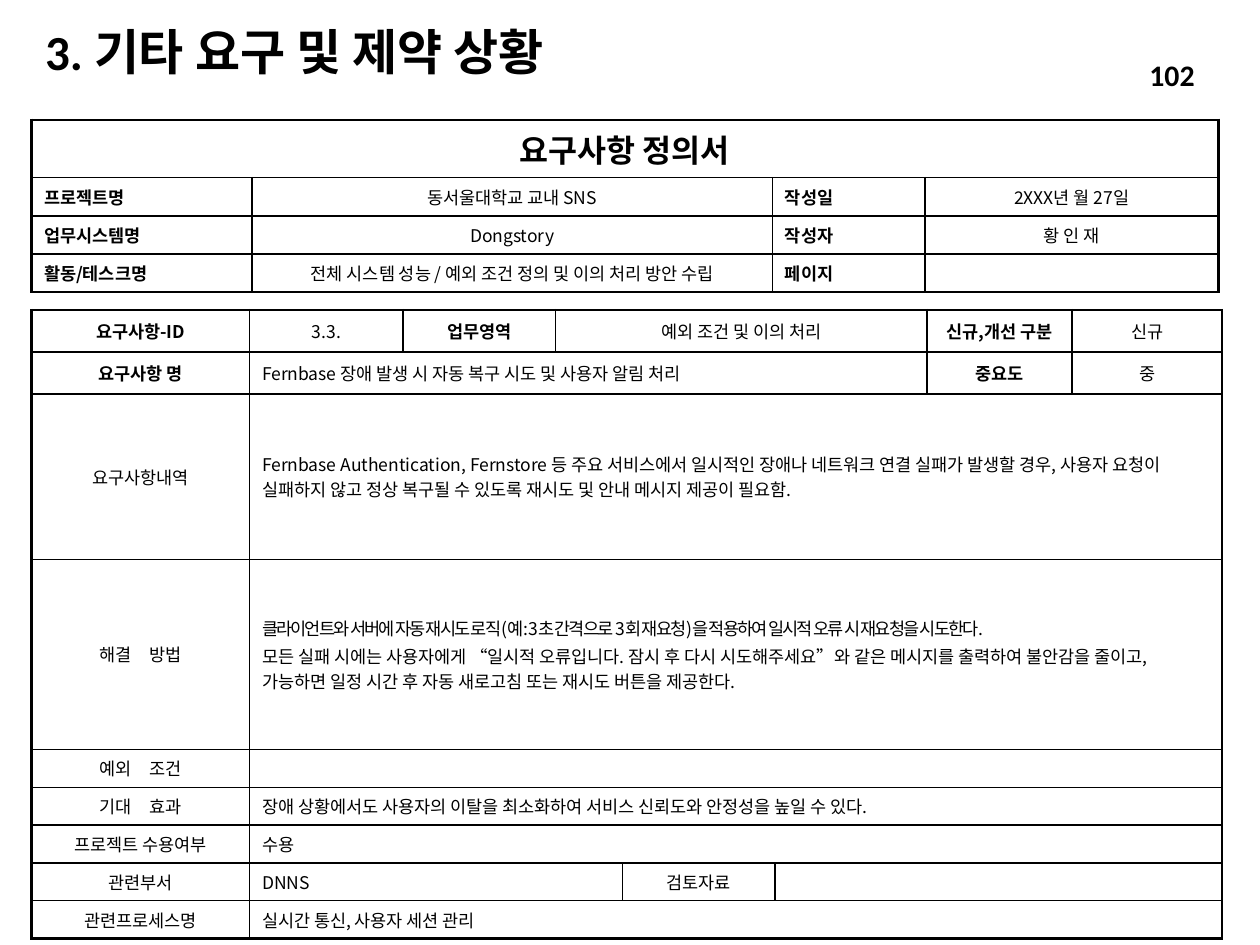
import pptx
import pptx.util
import pptx.enum.text
import pptx.dml.color
import pptx.oxml.ns
import lxml.etree

BLACK = pptx.dml.color.RGBColor(0, 0, 0)
UNIT = 0.1  # inches per grid step: 100 columns by 75 rows
ALIGN = pptx.enum.text.PP_ALIGN
ANCHOR = pptx.enum.text.MSO_ANCHOR
HEAVY, THIN = 1.5, 1


def grid(steps):
    return pptx.util.Inches(steps * UNIT)


def child(node, tag, **attrs):
    return lxml.etree.SubElement(node, pptx.oxml.ns.qn(tag), **attrs)


class Page:
    """Style and current slide."""
    head, body = "Calibri", "Noto Sans CJK KR"
    # kind of cell: alignment, bold
    kinds = {
        "label": (ALIGN.CENTER, True),
        "field": (ALIGN.JUSTIFY, True),
        "value": (ALIGN.CENTER, False),
        "prose": (ALIGN.LEFT, False),
        "tight": (ALIGN.LEFT, False),
    }

    def __init__(self, deck):
        self.slide = deck.slides.add_slide(deck.slide_layouts[6])

    def style(self, para, face, size, bold, align):
        para.alignment = align
        font = para.font
        font.name, font.size, font.bold = face, pptx.util.Pt(size), bold
        font.color.rgb = BLACK

    def text(self, words, box, size, align):
        frame = self.slide.shapes.add_textbox(*map(grid, box)).text_frame
        frame.word_wrap = True
        frame.vertical_anchor = ANCHOR.MIDDLE
        para = frame.paragraphs[0]
        para.text = words
        para.line_spacing = 0.9
        self.style(para, self.head, size, True, align)

    def edge(self, cell, widths):
        for side, width in widths.items():
            line = child(cell._tc.get_or_add_tcPr(), "a:ln" + side,
                         w=str(pptx.util.Pt(width)))
            child(child(line, "a:solidFill"), "a:srgbClr", val=str(BLACK))

    def fill(self, cell, words, kind, size, anchor):
        cell.vertical_anchor = anchor
        align, bold = self.kinds[kind]
        frame = cell.text_frame
        frame.text = words
        for i, para in enumerate(frame.paragraphs):
            if i:
                para.space_before = pptx.util.Pt(size * 0.2)
            self.style(para, self.body, size, bold, align)
        if kind == "tight":
            run = frame.paragraphs[0].runs[0]
            run._r.get_or_add_rPr().set("spc", "-100")
        if not words:  # keeps an empty row low
            child(frame.paragraphs[0]._p, "a:endParaRPr", sz=str(size * 100))

    def table(self, spot, cols, rows, cells, anchor, heavy=0, top=10):
        """Rows above index `heavy` have heavy rules; `top` is row 0's size."""
        table = self.slide.shapes.add_table(
            len(rows), len(cols), *map(grid, (*spot, sum(cols), sum(rows)))).table
        table.first_row = table.horz_banding = False
        for col, width in zip(table.columns, cols):
            col.width = grid(width)
        for row, height in zip(table.rows, rows):
            row.height = grid(height)
        last = len(cols) - 1
        for r, line in enumerate(cells):
            rule = {"T": HEAVY if r <= heavy else THIN,
                    "B": HEAVY if r < heavy or r == len(rows) - 1 else THIN}
            c = 0
            for words, span, kind in line:
                end = c + span - 1
                for k in range(c, end + 1):
                    cell = table.cell(r, k)
                    sides = {}
                    if k == c:
                        sides["L"] = HEAVY if k == 0 else THIN
                    if k in (c, end):
                        sides["R"] = HEAVY if end == last else THIN
                    self.edge(cell, sides | rule)
                    cell.fill.background()
                cell = table.cell(r, c)
                if span > 1:
                    cell.merge(table.cell(r, end))
                self.fill(cell, words, kind, 10 if r else top, anchor)
                c = end + 1


def main():
    deck = pptx.Presentation()
    deck.slide_width, deck.slide_height = grid(100), grid(75)
    page = Page(deck)

    # Heading and page number
    page.text("3. 기타 요구 및 제약 상황", (2.6, 2.1, 53.6, 4.4), 28, ALIGN.LEFT)
    page.text("102", (79.6, 4.1, 16.2, 4), 17, ALIGN.RIGHT)

    # Document details
    facts = [
        ("프로젝트명", "동서울대학교 교내 SNS", "작성일", "2XXX년 월 27일"),
        ("업무시스템명", "Dongstory", "작성자", "황 인 재"),
        ("활동/테스크명", "전체 시스템 성능 / 예외 조건 정의 및 이의 처리 방안 수립",
         "페이지", ""),
    ]
    cells = [[("요구사항 정의서", 4, "label")]]
    cells += [[(words, 1, kind) for words, kind in zip(fact, ("field", "value") * 2)]
              for fact in facts]
    page.table((2.5, 9.5), [17.5, 41.3, 12.1, 23.3], [4.6] + [3.03] * 3,
               cells, ANCHOR.TOP, top=18)

    # Requirement: two header rows
    cells = [
        [("요구사항-ID", 1, "label"), ("3.3.", 1, "value"), ("업무영역", 1, "label"),
         ("예외 조건 및 이의 처리", 3, "value"), ("신규,개선 구분", 1, "label"),
         ("신규", 1, "value")],
        [("요구사항 명", 1, "label"),
         ("Fernbase 장애 발생 시 자동 복구 시도 및 사용자 알림 처리", 5, "prose"),
         ("중요도", 1, "label"), ("중", 1, "value")],
    ]
    # Requirement: one label and one wide cell per row
    notes = [
        ("요구사항내역", "Fernbase Authentication, Fernstore 등 주요 서비스에서 일시적인 "
         "장애나 네트워크 연결 실패가 발생할 경우, 사용자 요청이 실패하지 않고 정상 복구될 수 "
         "있도록 재시도 및 안내 메시지 제공이 필요함.", "prose"),
        ("해결　방법", "클라이언트와 서버에 자동 재시도 로직(예: 3초 간격으로 3회 재요청)을 "
         "적용하여 일시적 오류 시 재요청을 시도한다.\n"
         "모든 실패 시에는 사용자에게 “일시적 오류입니다. 잠시 후 다시 시도해주세요”와 같은 "
         "메시지를 출력하여 불안감을 줄이고, 가능하면 일정 시간 후 자동 새로고침 또는 재시도 "
         "버튼을 제공한다.", "tight"),
        ("예외　조건", "", "prose"),
        ("기대　효과", "장애 상황에서도 사용자의 이탈을 최소화하여 서비스 신뢰도와 안정성을 "
         "높일 수 있다.", "prose"),
        ("프로젝트 수용여부", "수용", "prose"),
        ("관련프로세스명", "실시간 통신, 사용자 세션 관리", "prose"),
    ]
    cells += [[(name, 1, "value"), (words, 7, kind)] for name, words, kind in notes]
    cells.insert(-1, [("관련부서", 1, "value"), ("DNNS", 3, "prose"),
                      ("검토자료", 1, "value"), ("", 3, "prose")])
    page.table((2.5, 24.6), [17.3, 12.2, 12.1, 5.3, 12.1, 12.1, 11.5, 11.9],
               [3.35, 3.35, 13.1, 15.1] + [3] * 5, cells, ANCHOR.MIDDLE, heavy=2)

    deck.save("out.pptx")


if __name__ == "__main__":
    main()
